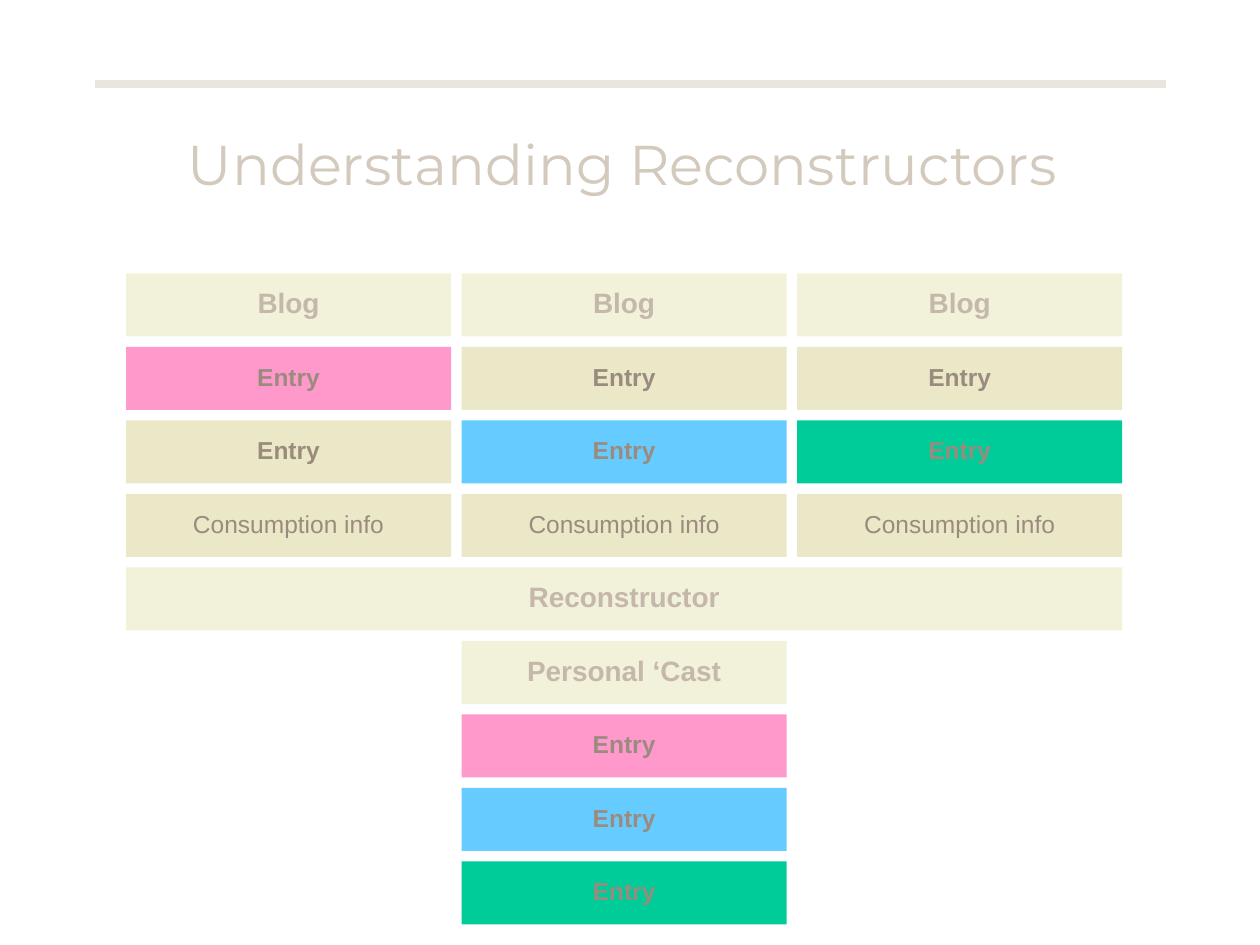
from pptx import Presentation
from pptx.dml.color import RGBColor
from pptx.enum.shapes import MSO_CONNECTOR, MSO_SHAPE
from pptx.enum.text import MSO_ANCHOR, PP_ALIGN
from pptx.util import Inches, Pt
from lxml import etree

COLORS = {
    "rule": "E9E5DF", "title": "D3C9BD",
    "heading": "F2F1DA", "heading_text": "C5B8AB",
    "plain": "EAE8C6", "entry_text": "9A8B7E",
    "pink": "FF99CC", "blue": "66CCFF", "green": "00CC99",
}

# Grid: three columns, equal gaps both ways
LEFT, TOP = 1, 2.17
GAP = 1 / 12
CELL_W, CELL_H = 2.58, 0.5
COL_STEP, ROW_STEP = CELL_W + GAP, CELL_H + GAP


def color(name):
    return RGBColor.from_string(COLORS[name])


def add_block(col, row, text, fill, bold=True, span=1):
    block = slide.shapes.add_shape(
        MSO_SHAPE.RECTANGLE,
        Inches(LEFT + col * COL_STEP), Inches(TOP + row * ROW_STEP),
        Inches(CELL_W + (span - 1) * COL_STEP), Inches(CELL_H))
    block.shadow.inherit = False
    block.fill.solid()
    block.fill.fore_color.rgb = color(fill)
    block.line.fill.background()
    frame = block.text_frame
    frame.text = text
    frame.word_wrap = False
    frame.vertical_anchor = MSO_ANCHOR.MIDDLE
    label = frame.paragraphs[0]
    label.alignment = PP_ALIGN.CENTER
    label.line_spacing = 0.9
    font = label.runs[0].font
    is_heading = fill == "heading"
    font.name = "Arial"
    font.size = Pt(16 if is_heading else 14)
    font.bold = bold
    font.color.rgb = color("heading_text" if is_heading else "entry_text")


prs = Presentation()
prs.slide_width, prs.slide_height = Inches(10), Inches(7.5)
slide = prs.slides.add_slide(prs.slide_layouts[6])

# Rule above the title
rule = slide.shapes.add_connector(
    MSO_CONNECTOR.STRAIGHT, Inches(0.75), Inches(0.67), Inches(9.25), Inches(0.67))
rule.line.color.rgb = color("rule")
rule.line.width = Pt(4.5)
properties = rule.line._get_or_add_ln().getparent()
etree.SubElement(
    properties, "{http://schemas.openxmlformats.org/drawingml/2006/main}effectLst")

# Title
title = slide.shapes.add_textbox(Inches(0.75), Inches(0.67), Inches(8.5), Inches(1.25))
title_frame = title.text_frame
title_frame.text = "Understanding Reconstructors "
title_frame.word_wrap = True
title_frame.vertical_anchor = MSO_ANCHOR.MIDDLE
heading = title_frame.paragraphs[0]
heading.alignment = PP_ALIGN.CENTER
title_font = heading.runs[0].font
title_font.name = "Montserrat"
title_font.size = Pt(32)
title_font.color.rgb = color("title")

# Source blogs, each with two entries and consumption info
blog_entries = [("pink", "plain"), ("plain", "blue"), ("plain", "green")]
for col, (first, second) in enumerate(blog_entries):
    add_block(col, 0, "Blog", "heading")
    add_block(col, 1, "Entry", first)
    add_block(col, 2, "Entry", second)
    add_block(col, 3, "Consumption info", "plain", bold=False)

# Reconstructor across all blogs
add_block(0, 4, "Reconstructor", "heading", span=3)

# Personal cast assembled from the picked entries
add_block(1, 5, "Personal ‘Cast", "heading")
for row, picked in enumerate(("pink", "blue", "green"), start=6):
    add_block(1, row, "Entry", picked)

prs.save("out.pptx")
